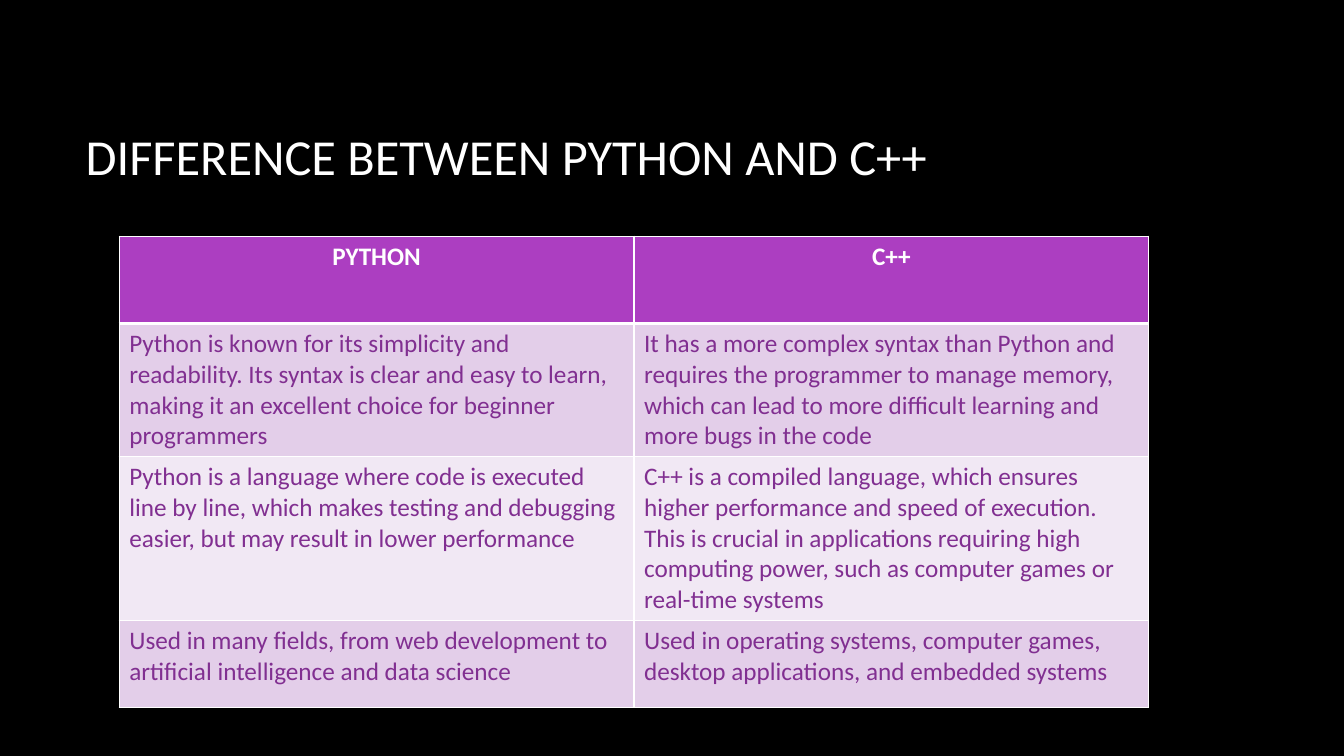
from dataclasses import dataclass

from lxml import etree
from pptx import Presentation
from pptx import util as u
from pptx.dml import color as c
from pptx.enum import text
from pptx.oxml import ns


@dataclass(frozen=True)
class Theme:
    font: str = "Calibri"
    background: str = "000000"
    light: str = "FFFFFF"
    header: str = "AC3EC1"
    bands: tuple = ("E3CEE9", "F1E8F4")
    body: str = "812F91"
    title_size: int = 36
    table_size: int = 18
    thin: int = 1
    thick: int = 3


class SlideBuilder:
    def __init__(self, deck, theme):
        self.theme = theme
        self.page = deck.slides.add_slide(deck.slide_layouts[5])
        self.paint(self.page.background.fill, theme.background)

    def paint(self, fill, color):
        fill.solid()
        fill.fore_color.rgb = c.RGBColor.from_string(color)

    def set_text(self, frame, wording, size, color, bold=False, align=text.PP_ALIGN.LEFT):
        frame.text = wording
        frame.word_wrap = True
        para = frame.paragraphs[0]
        para.alignment = align
        font = para.runs[0].font
        font.name = self.theme.font
        font.size = u.Pt(size)
        font.bold = bold
        font.color.rgb = c.RGBColor.from_string(color)

    def title(self, wording, left, top, width, height):
        box = self.page.shapes.title
        box.left, box.top, box.width, box.height = map(u.Pt, (left, top, width, height))
        frame = box.text_frame
        self.set_text(frame, wording, self.theme.title_size, self.theme.light)
        frame.auto_size = text.MSO_AUTO_SIZE.NONE
        frame.vertical_anchor = text.MSO_ANCHOR.MIDDLE

    def borders(self, cell, widths):
        properties = cell._tc.get_or_add_tcPr()
        for index, (side, width) in enumerate(widths.items()):
            line = etree.Element(ns.qn(f"a:ln{side}"), w=str(int(u.Pt(width))))
            fill = etree.SubElement(line, ns.qn("a:solidFill"))
            etree.SubElement(fill, ns.qn("a:srgbClr"), val=self.theme.light)
            properties.insert(index, line)

    def table(self, rows, left, top, width, row_height):
        theme = self.theme
        bounds = map(u.Pt, (left, top, width, row_height * len(rows)))
        grid = self.page.shapes.add_table(len(rows), len(rows[0]), *bounds).table
        for row_index, wordings in enumerate(rows):
            is_header = row_index == 0
            fill = theme.header if is_header else theme.bands[(row_index - 1) % 2]
            color = theme.light if is_header else theme.body
            align = text.PP_ALIGN.CENTER if is_header else text.PP_ALIGN.LEFT
            widths = dict.fromkeys("LRTB", theme.thin)
            if is_header:
                widths["B"] = theme.thick
            elif row_index == 1:
                widths["T"] = theme.thick
            for column_index, wording in enumerate(wordings):
                cell = grid.cell(row_index, column_index)
                self.paint(cell.fill, fill)
                self.set_text(cell.text_frame, wording, theme.table_size, color, is_header, align)
                self.borders(cell, widths)


ROWS = [
    ("PYTHON", "C++"),
    (
        "Python is known for its simplicity and readability. Its syntax is clear and easy "
        "to learn, making it an excellent choice for beginner programmers",
        "It has a more complex syntax than Python and requires the programmer to manage "
        "memory, which can lead to more difficult learning and more bugs in the code",
    ),
    (
        "Python is a language where code is executed line by line, which makes testing and "
        "debugging easier, but may result in lower performance",
        "C++ is a compiled language, which ensures higher performance and speed of execution. "
        "This is crucial in applications requiring high computing power, such as computer "
        "games or real-time systems",
    ),
    (
        "Used in many fields, from web development to artificial intelligence and data science",
        "Used in operating systems, computer games, desktop applications, and embedded systems",
    ),
]


def main():
    deck = Presentation()
    deck.slide_width, deck.slide_height = u.Pt(960), u.Pt(540)
    builder = SlideBuilder(deck, Theme())
    builder.title("DIFFERENCE BETWEEN PYTHON AND C++", 54, 54, 798, 114.5)
    builder.table(ROWS, 85.2, 168.7, 735.4, 62.4)
    deck.save("out.pptx")


if __name__ == "__main__":
    main()
